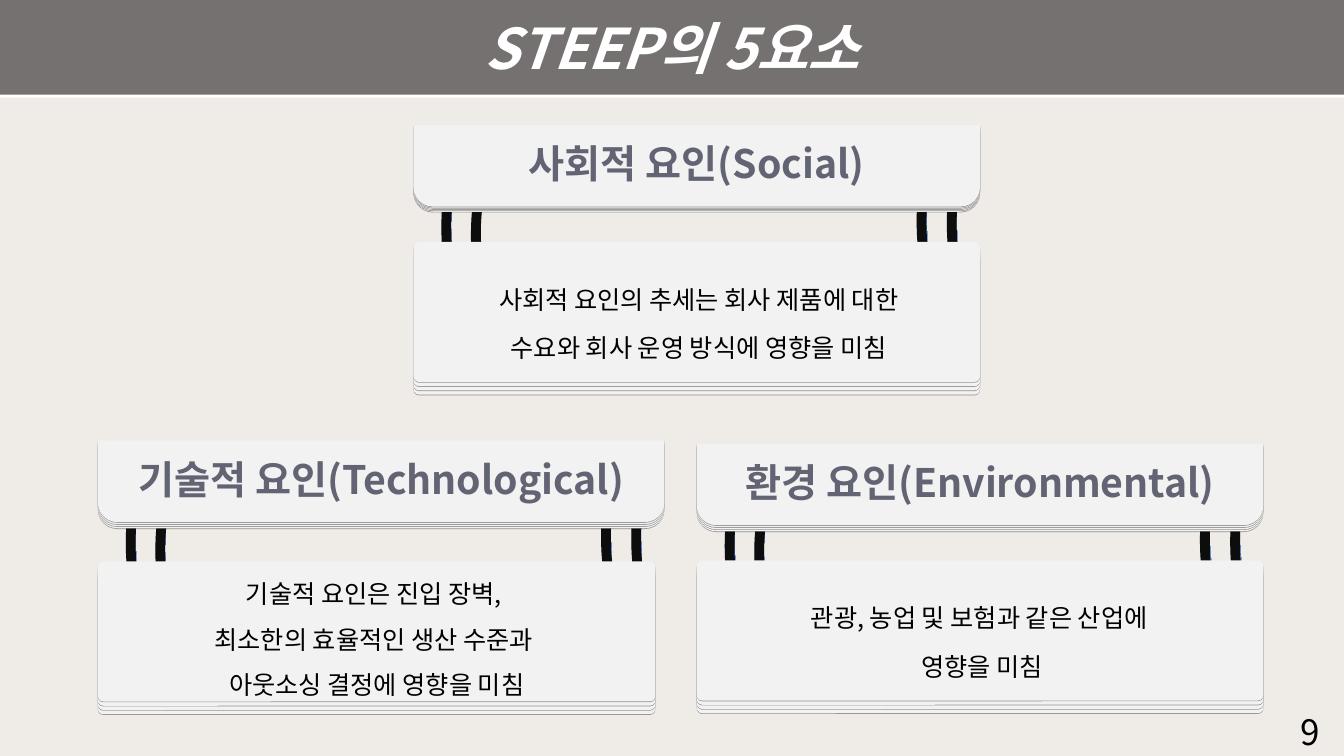
"""Build the STEEP factors slide: a title band and three hanging signboards."""
from dataclasses import dataclass
from typing import Any

import lxml.etree
import pptx
import pptx.dml.color
import pptx.enum.shapes
import pptx.enum.text
import pptx.oxml.ns
import pptx.util

FONT = "Noto Sans CJK KR"
WIDTH, HEIGHT = pptx.util.Inches(13.33), pptx.util.Inches(7.5)
PLATE = pptx.enum.shapes.MSO_SHAPE.ROUND_2_SAME_RECTANGLE
ARC = pptx.enum.shapes.MSO_SHAPE.ARC
MIDDLE = pptx.enum.text.MSO_ANCHOR.MIDDLE
CENTER = pptx.enum.text.PP_ALIGN.CENTER
AUTO = pptx.enum.text.MSO_AUTO_SIZE

HEAD_W, HEAD_H = 42.16, 10.8
SHEET_H, SHEET_STEP, SHEET_COUNT = 18.53, 0.56, 4
RING_W, RING_H = 0.68, 9.73
RINGS = ((40.06, 8.13), (37.81, 7.87), (4.65, 9.73), (2.45, 8.67))
RING_LAYERS = (("B2C2D1", 53.14, 164.95), ("0D0D0D", 53.23, 164.3))


@dataclass
class Box:
    """A rectangle in percent of the slide's width and height."""
    x: float
    y: float
    w: float
    h: float

    def emu(self) -> tuple[int, int, int, int]:
        """Return left, top, width and height in EMU."""
        return (int(WIDTH * self.x / 100), int(HEIGHT * self.y / 100),
                int(WIDTH * self.w / 100), int(HEIGHT * self.h / 100))


@dataclass
class Sign:
    """A signboard: heading plates, rings and a stack of sheets."""
    x: float
    y: float
    heading: str
    body: str
    spacing: float = 1.6
    plates: int = 4
    plate_step: float = 0.27
    drop: float = 15.47
    sheet_w: float = HEAD_W
    on_sheet: bool = False


SIGNS = (
    Sign(30.76, 16.53, "사회적 요인(Social)",
         "사회적 요인의 추세는 회사 제품에 대한 수요와 회사 운영 방식에 영향을 미침",
         plates=5, plate_step=0.17),
    Sign(51.84, 58.67, "환경 요인(Environmental)",
         "관광, 농업 및 보험과 같은 산업에 \n영향을 미침"),
    Sign(7.28, 58.27, "기술적 요인(Technological)",
         "기술적 요인은 진입 장벽, \n최소한의 효율적인 생산 수준과 \n아웃소싱 결정에 영향을 미침",
         spacing=1.5, drop=16, sheet_w=41.49, on_sheet=True),
)


def rgb(code: str) -> pptx.dml.color.RGBColor:
    """Turn a hex string into a colour."""
    return pptx.dml.color.RGBColor.from_string(code)


def fill(sp: Any, code: str) -> None:
    """Fill a shape with one colour and hide its outline."""
    sp.fill.solid()
    sp.fill.fore_color.rgb = rgb(code)
    sp.line.fill.background()


def drop_shadow(sp: Any, code: str, alpha: int, dist: float) -> None:
    """Give a shape a sharp shadow straight below it."""
    sp.shadow.inherit = False
    qn = pptx.oxml.ns.qn
    effects = sp.element.spPr.find(qn("a:effectLst"))
    shadow = lxml.etree.SubElement(
        effects, qn("a:outerShdw"), blurRad="0", dist=str(int(pptx.util.Pt(dist))),
        dir="5400000", algn="t", rotWithShape="0")
    color = lxml.etree.SubElement(shadow, qn("a:srgbClr"), val=code)
    lxml.etree.SubElement(color, qn("a:alpha"), val=str(alpha * 1000))


def write(sp: Any, text: str, size: float, code: str, bold: bool = False,
          italic: bool = False, align: Any = CENTER, spacing: float = 1.0) -> None:
    """Set a shape's text and format every run."""
    tf = sp.text_frame
    tf.text = text
    tf.word_wrap = True
    for p in tf.paragraphs:
        p.alignment = align
        p.line_spacing = spacing
        for r in p.runs:
            r.font.size = pptx.util.Pt(size)
            r.font.bold, r.font.italic = bold, italic
            r.font.color.rgb = rgb(code)
            r.font.name = FONT
            lxml.etree.SubElement(r.font._element, pptx.oxml.ns.qn("a:ea"), typeface=FONT)


def add_ring(shapes: Any, box: Box) -> None:
    """Draw a ring as a dark arc over a light one."""
    for code, start, end in RING_LAYERS:
        sp = shapes.add_shape(ARC, *box.emu())
        sp.adjustments[0], sp.adjustments[1] = start, end
        sp.element.spPr.xfrm.set("flipV", "1")
        sp.shadow.inherit = False
        sp.line.color.rgb = rgb(code)
        sp.line.width = pptx.util.Pt(7)


def add_stack(shapes: Any, box: Box, count: int, step: float,
              corners: tuple[float, float]) -> Any:
    """Stack plates from the lowest up and return the top one."""
    for level in reversed(range(count)):
        sp = shapes.add_shape(PLATE, *Box(box.x, box.y + level * step, box.w, box.h).emu())
        sp.adjustments[0], sp.adjustments[1] = corners
        fill(sp, "F2F2F2")
        drop_shadow(sp, "000000", 40, 0.5)
    sp.text_frame.vertical_anchor = MIDDLE
    return sp


def add_sign(s: Any, sign: Sign) -> None:
    """Draw one signboard as a group."""
    shapes = s.shapes.add_group_shape().shapes
    for dx, dy in RINGS:
        add_ring(shapes, Box(sign.x + dx, sign.y + dy, RING_W, RING_H))
    sheet_y = sign.y + sign.drop
    body = add_stack(shapes, Box(sign.x, sheet_y, sign.sheet_w, SHEET_H),
                     SHEET_COUNT, SHEET_STEP, (0.04, 0.04))
    head = add_stack(shapes, Box(sign.x, sign.y, HEAD_W, HEAD_H),
                     sign.plates, sign.plate_step, (0, 0.24))
    write(head, sign.heading, 28, "626474", bold=True)
    if not sign.on_sheet:
        body = shapes.add_textbox(*Box(sign.x + 3.86, sheet_y + 2.53, 34.73, 13.47).emu())
        body.text_frame.auto_size = AUTO.SHAPE_TO_FIT_TEXT
    write(body, sign.body, 18, "000000", spacing=sign.spacing)


def add_title(s: Any) -> None:
    """Turn the title placeholder into the top band."""
    sp = s.shapes.title
    sp.left, sp.top, sp.width, sp.height = Box(0, 0, 100, 12.53).emu()
    fill(sp, "767171")
    drop_shadow(sp, "FFFFFF", 100, 2)
    sp.text_frame.vertical_anchor = MIDDLE
    sp.text_frame.auto_size = AUTO.NONE
    write(sp, "STEEP의 5요소", 40, "FFFFFF", bold=True, italic=True)


def main() -> None:
    """Build and save the slide."""
    prs = pptx.Presentation()
    prs.slide_width, prs.slide_height = WIDTH, HEIGHT
    s = prs.slides.add_slide(prs.slide_layouts[5])
    s.background.fill.solid()
    s.background.fill.fore_color.rgb = rgb("EFECE7")
    add_title(s)
    for sign in SIGNS:
        add_sign(s, sign)
    number = s.shapes.add_textbox(*Box(96.02, 94.13, 3.98, 5.33).emu())
    number.text_frame.vertical_anchor = MIDDLE
    write(number, "9", 25, "000000", align=pptx.enum.text.PP_ALIGN.LEFT)
    prs.save("out.pptx")


if __name__ == "__main__":
    main()
